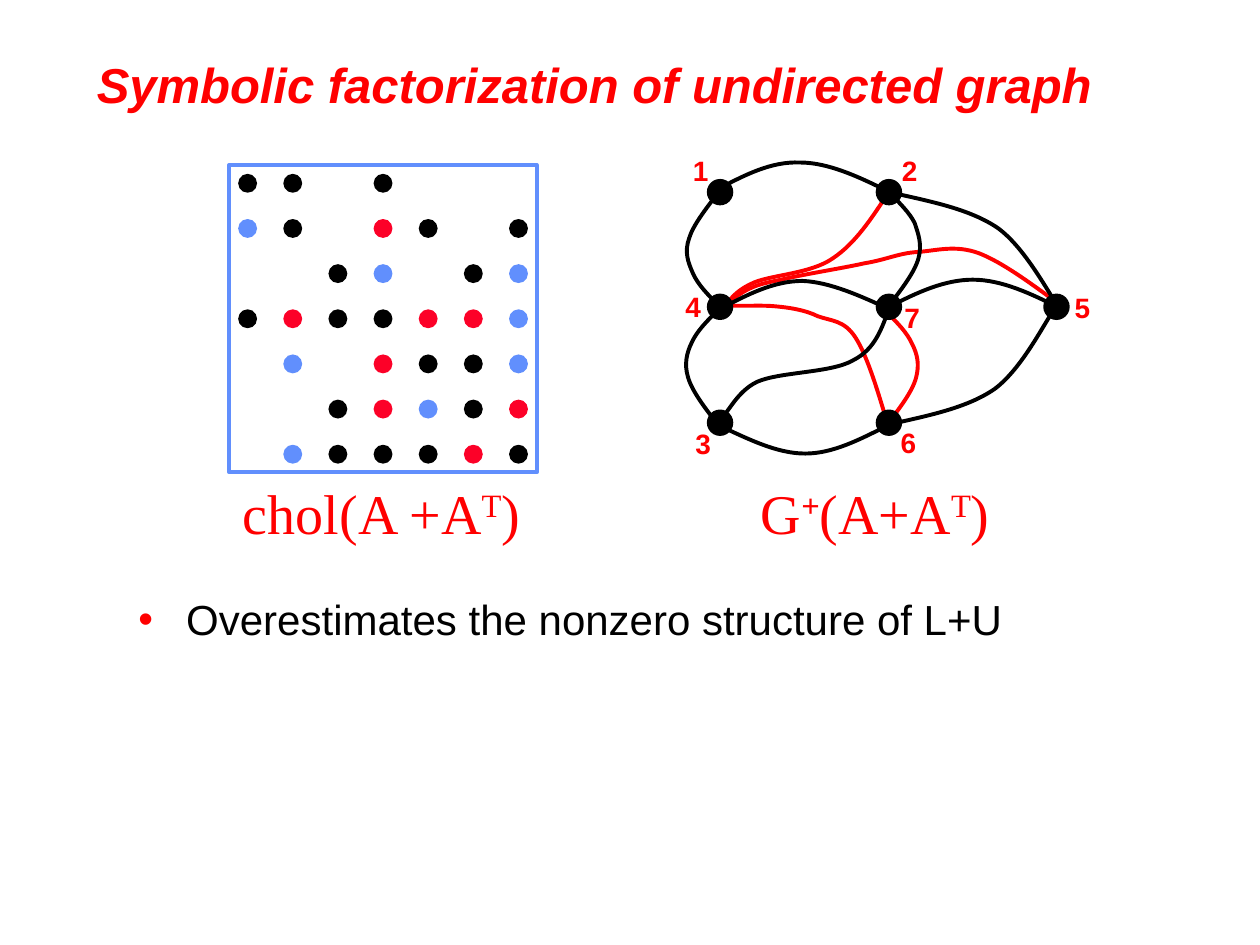
from lxml import etree
from pptx import Presentation
from pptx.dml.color import RGBColor
from pptx.enum.shapes import MSO_SHAPE
from pptx.enum.text import MSO_ANCHOR
from pptx.oxml.ns import qn
from pptx.util import Cm, Pt

OVAL, RECT = MSO_SHAPE.OVAL, MSO_SHAPE.RECTANGLE
TOP, MIDDLE = MSO_ANCHOR.TOP, MSO_ANCHOR.MIDDLE
RED, BLACK, BLUE, FILL_IN = "FF0000", "000000", "618FFD", "FC0128"

# All positions below are in inches.
TITLE = "Symbolic factorization of undirected graph"
BULLET = "Overestimates the nonzero structure of L+U"
# Each caption: left, width, wrap, runs of (text, superscript, bold)
CAPTIONS = [
    (1.83, 2.49, True, [("chol(A +A", False, False), ("T", True, False), (")", False, False)]),
    (5.94, 2.12, False, [("G", False, False), ("+", True, True), ("(A+A", False, False),
                         ("T", True, False), (")", False, False)]),
]

MATRIX = ["KK.K...",
          "BK.RK.K",
          "..KB.KB",
          "KRKKRRB",
          ".B.RKKB",
          "..KRBKR",
          ".BKKKRK"]
ENTRY_COLORS = {"K": BLACK, "B": BLUE, "R": FILL_IN}
MATRIX_LEFT, MATRIX_TOP, MATRIX_SIZE = 1.82, 1.31, 2.44
ENTRY_INSET, ENTRY_PITCH, ENTRY_SIZE = 0.07, 2.15 / 6, 0.15

COLUMNS, ROWS = (5.61, 6.95, 8.28), (1.42, 2.33, 3.25)
NODE_SIZE = 0.21
# Each vertex: column, row, left and top of its label
VERTICES = {
    "1": (0, 0, 5.4, 1.17), "2": (1, 0, 7.06, 1.17), "3": (0, 2, 5.42, 3.34),
    "4": (0, 1, 5.34, 2.25), "5": (2, 1, 8.43, 2.26), "6": (1, 2, 7.05, 3.33),
    "7": (1, 1, 7.08, 2.34),
}

# Each edge: a start point, then two control points and an end point per curve
FILL_EDGES = [
    [(5.66, 2.41), (5.78, 2.44), (6, 2.42), (6.13, 2.43), (6.26, 2.44), (6.39, 2.46),
     (6.49, 2.51), (6.6, 2.55), (6.7, 2.54), (6.79, 2.68), (6.88, 2.82), (6.96, 3.08),
     (7.04, 3.35)],
    [(7.04, 2.48), (7.12, 2.56), (7.2, 2.64), (7.24, 2.73), (7.28, 2.81), (7.3, 2.89),
     (7.27, 3), (7.24, 3.11), (7.14, 3.24), (7.04, 3.37)],
    [(5.68, 2.42), (5.76, 2.43), (5.85, 2.34), (5.93, 2.3), (6.01, 2.26), (6.05, 2.25),
     (6.2, 2.22), (6.36, 2.18), (6.68, 2.13), (6.86, 2.09), (7.04, 2.06), (7.13, 2.01),
     (7.28, 2), (7.43, 1.99), (7.58, 1.94), (7.77, 2.01), (7.95, 2.08), (8.17, 2.24),
     (8.4, 2.41)],
    [(5.76, 2.42), (5.81, 2.36), (5.85, 2.3), (5.99, 2.24), (6.14, 2.18), (6.44, 2.17),
     (6.61, 2.05), (6.79, 1.93), (6.92, 1.73), (7.05, 1.53)],
]
GRAPH_EDGES = [
    [(5.7, 1.5), (5.91, 1.39), (6.12, 1.28), (6.35, 1.29), (6.57, 1.29), (6.81, 1.4),
     (7.05, 1.52)],
    [(7.07, 2.43), (7.28, 2.32), (7.5, 2.22), (7.72, 2.22), (7.95, 2.22), (8.18, 2.33),
     (8.42, 2.45)],
    [(7.04, 3.38), (6.82, 3.49), (6.61, 3.6), (6.39, 3.6), (6.16, 3.6), (5.93, 3.48),
     (5.69, 3.37)],
    [(5.7, 2.42), (5.62, 2.34), (5.54, 2.26), (5.5, 2.17), (5.46, 2.08), (5.43, 2),
     (5.47, 1.89), (5.5, 1.79), (5.6, 1.66), (5.7, 1.53)],
    [(5.69, 2.47), (5.61, 2.55), (5.53, 2.63), (5.49, 2.72), (5.45, 2.8), (5.43, 2.89),
     (5.46, 2.99), (5.49, 3.1), (5.59, 3.23), (5.69, 3.36)],
    [(7.06, 1.53), (7.14, 1.61), (7.22, 1.69), (7.26, 1.77), (7.29, 1.86), (7.32, 1.94),
     (7.29, 2.05), (7.26, 2.16), (7.16, 2.29), (7.06, 2.42)],
    [(5.71, 3.33), (5.77, 3.3), (5.84, 3.11), (6.01, 3.03), (6.19, 2.95), (6.6, 2.96),
     (6.77, 2.86), (6.95, 2.77), (7, 2.6), (7.06, 2.44)],
    [(8.37, 2.45), (8.29, 2.56), (8.11, 2.93), (7.89, 3.09), (7.67, 3.24), (7.36, 3.3),
     (7.05, 3.37)],
    [(8.41, 2.45), (8.33, 2.34), (8.14, 1.97), (7.92, 1.81), (7.7, 1.66), (7.39, 1.6),
     (7.08, 1.53)],
    [(5.72, 2.45), (5.93, 2.34), (6.14, 2.23), (6.37, 2.23), (6.59, 2.24), (6.83, 2.35),
     (7.07, 2.46)],
]


def inch(value):
    return Cm(value * 2.54)


def rgb(color):
    return RGBColor.from_string(color)


def add_text(shapes, x, y, w, h, wrap=True, anchor=TOP):
    tf = shapes.add_textbox(inch(x), inch(y), inch(w), inch(h)).text_frame
    tf.word_wrap = wrap
    tf.vertical_anchor = anchor
    return tf.paragraphs[0]


def add_run(p, text, size, color, font="Arial", bold=False, italic=False):
    r = p.add_run()
    r.text = text
    r.font.name, r.font.size = font, Pt(size)
    r.font.bold, r.font.italic = bold, italic
    r.font.color.rgb = rgb(color)
    return r


def add_preset(shapes, kind, x, y, size, fill=None, line=None):
    sp = shapes.add_shape(kind, inch(x), inch(y), inch(size), inch(size))
    style(sp, fill, line)


def style(sp, fill, line):
    sp.shadow.inherit = False
    if fill:
        sp.fill.solid()
        sp.fill.fore_color.rgb = rgb(fill)
    else:
        sp.fill.background()
    if line:
        sp.line.color.rgb = rgb(line)
        sp.line.width = Pt(2.25)
    else:
        sp.line.fill.background()


def add_edge(shapes, points, color):
    """Outline the end points of the curves, then bend each segment into a cubic."""
    emu = [(inch(x), inch(y)) for x, y in points]
    builder = shapes.build_freeform(*emu[0])
    builder.add_line_segments(emu[3::3], close=False)
    sp = builder.convert_to_shape()
    for i, segment in enumerate(list(sp._element.iter(qn("a:lnTo")))):
        segment.tag = qn("a:cubicBezTo")
        for k, (x, y) in enumerate(emu[3 * i + 1:3 * i + 3]):
            pt = etree.Element(qn("a:pt"), x=str(x - sp.left), y=str(y - sp.top))
            segment.insert(k, pt)
    style(sp, None, color)


def add_bullet(p, indent, color):
    pPr = p._p.get_or_add_pPr()
    pPr.set("marL", str(inch(indent)))
    pPr.set("indent", str(-inch(indent)))
    bu_color = etree.SubElement(pPr, qn("a:buClr"))
    etree.SubElement(bu_color, qn("a:srgbClr"), val=color)
    etree.SubElement(pPr, qn("a:buFont"), typeface="Arial")
    etree.SubElement(pPr, qn("a:buChar"), char="•")


prs = Presentation()
prs.slide_width, prs.slide_height = inch(10), inch(7.5)
s = prs.slides.add_slide(prs.slide_layouts[6])

p = add_text(s.shapes, 0.67, 0.33, 8.5, 0.67, anchor=MIDDLE)
add_run(p, TITLE, 28, RED, bold=True, italic=True)

p = add_text(s.shapes, 1, 4.58, 8, 2.08)
add_bullet(p, 0.38, RED)
p.line_spacing = 1.2
add_run(p, BULLET, 24, BLACK)

for left, width, wrap, runs in CAPTIONS:
    p = add_text(s.shapes, left, 3.75, width, 0.64, wrap)
    for text, superscript, bold in runs:
        r = add_run(p, text, 32, RED, "Times New Roman", bold)
        if superscript:
            r._r.get_or_add_rPr().set("baseline", "30000")

graph = s.shapes.add_group_shape().shapes
for edge in FILL_EDGES:
    add_edge(graph, edge, RED)
for label, (col, row, x, y) in VERTICES.items():
    add_preset(graph, OVAL, COLUMNS[col], ROWS[row], NODE_SIZE, fill=BLACK)
    add_run(add_text(graph, x, y, 0.32, 0.37, wrap=False), label, 16, RED, bold=True)
for edge in GRAPH_EDGES:
    add_edge(graph, edge, BLACK)

matrix = s.shapes.add_group_shape().shapes
add_preset(matrix, RECT, MATRIX_LEFT, MATRIX_TOP, MATRIX_SIZE, line=BLUE)
for i, row in enumerate(MATRIX):
    for j, entry in enumerate(row):
        if entry in ENTRY_COLORS:
            add_preset(matrix, OVAL, MATRIX_LEFT + ENTRY_INSET + j * ENTRY_PITCH,
                       MATRIX_TOP + ENTRY_INSET + i * ENTRY_PITCH, ENTRY_SIZE,
                       fill=ENTRY_COLORS[entry])

prs.save("out.pptx")
